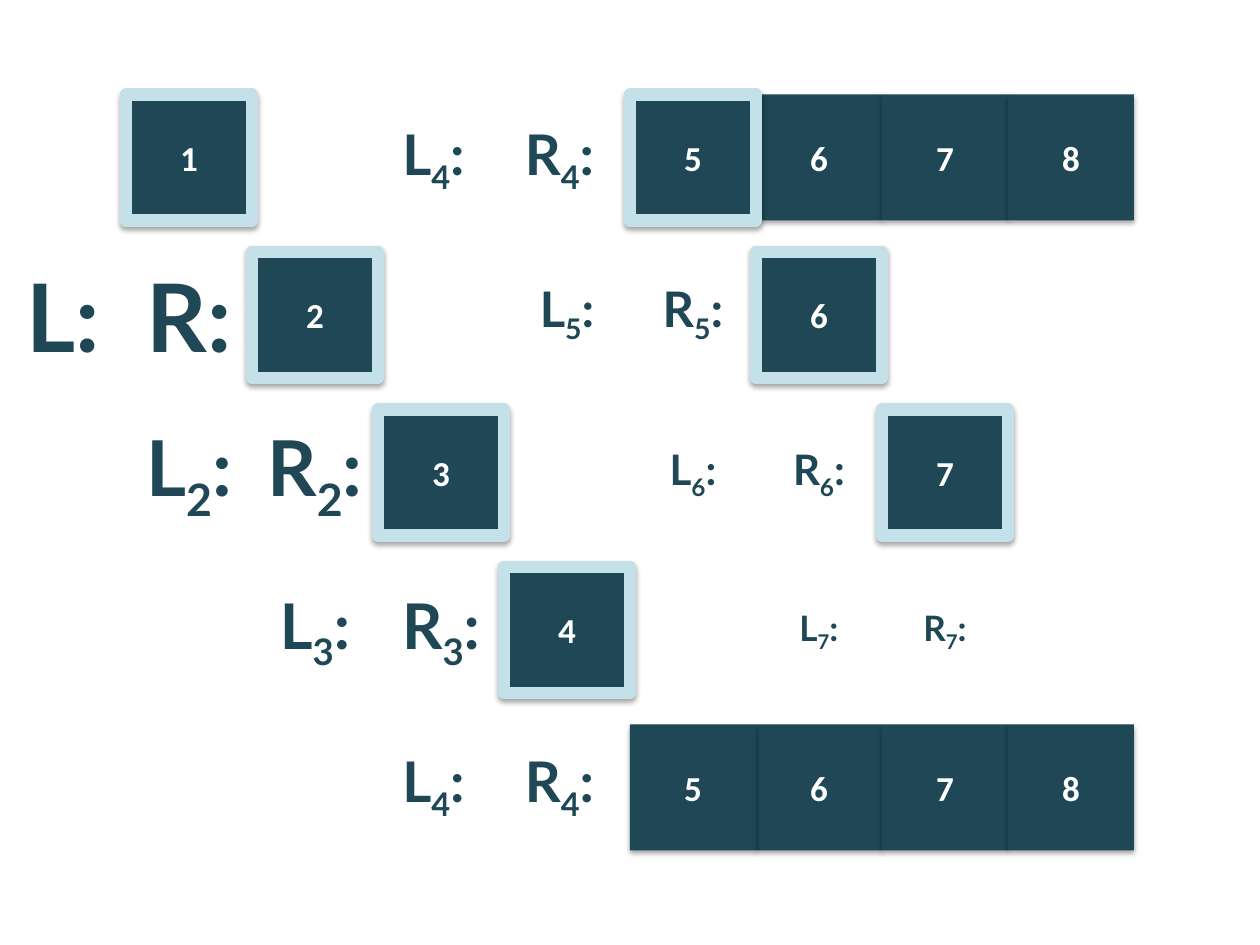
from dataclasses import dataclass

from lxml import etree
from pptx import Presentation
from pptx.dml.color import RGBColor
from pptx.enum.shapes import MSO_SHAPE
from pptx.enum.text import MSO_ANCHOR, PP_ALIGN
from pptx.oxml.ns import qn
from pptx.util import Cm, Pt

RECTANGLE = MSO_SHAPE.RECTANGLE
MIDDLE = MSO_ANCHOR.MIDDLE
CENTER = PP_ALIGN.CENTER


@dataclass(frozen=True)
class Theme:
    dark: RGBColor = RGBColor(0x1F, 0x47, 0x55)
    frame: RGBColor = RGBColor(0xC4, 0xE0, 0xE9)
    white: RGBColor = RGBColor(0xFF, 0xFF, 0xFF)
    shadow: str = "000000"
    number_font: str = "Calibri"
    label_font: str = "Lato"
    number_size: int = 20
    frame_width: int = 7


THEME = Theme()
CELL = 2.54
ROW_PITCH = 1.25 * CELL
TOP = 0.75 * CELL
ROWS_PER_COLUMN = 4
LAST_ROW = 4

LABELS = [
    ("", 0, 1, 54),
    ("2", 1, 2, 44),
    ("3", 2, 3, 36),
    ("4", 2.94, 3.98, 32),
    ("4", 2.94, 0, 32),
    ("5", 4, 0.98, 28),
    ("6", 5, 2, 24),
    ("7", 6, 3, 20),
]


def cell_box(column, row):
    return Cm(column * CELL), Cm(TOP + row * ROW_PITCH), Cm(CELL), Cm(CELL)


def apply_format(target, values):
    for name, value in values.items():
        setattr(target, name, value)


def write_centered(shape, pieces, font_name, size, color):
    frame = shape.text_frame
    apply_format(frame, {
        "word_wrap": True, "vertical_anchor": MIDDLE,
        "margin_left": 0, "margin_right": 0,
    })
    paragraph = frame.paragraphs[0]
    paragraph.alignment = CENTER
    for text, baseline in pieces:
        run = paragraph.add_run()
        run.text = text
        apply_format(run.font, {"name": font_name, "size": Pt(size), "bold": True})
        run.font.color.rgb = color
        if baseline:
            run._r.get_or_add_rPr().set("baseline", str(baseline))


def add_shadow(shape):
    shape.shadow.inherit = False
    effects = shape._element.spPr.find(qn("a:effectLst"))
    shadow = etree.SubElement(effects, qn("a:outerShdw"), {
        "blurRad": str(Pt(3.1)), "dist": str(Pt(1.8)),
        "dir": "5400000", "rotWithShape": "0",
    })
    color = etree.SubElement(shadow, qn("a:srgbClr"), val=THEME.shadow)
    etree.SubElement(color, qn("a:alpha"), val="35000")


def add_square(slide, number, row, framed=False):
    shape = slide.shapes.add_shape(RECTANGLE, *cell_box(number, row))
    shape.fill.solid()
    shape.fill.fore_color.rgb = THEME.dark
    if framed:
        shape.line.color.rgb = THEME.frame
        shape.line.width = Pt(THEME.frame_width)
    else:
        shape.line.fill.background()
    add_shadow(shape)
    write_centered(shape, [(str(number), 0)], THEME.number_font,
                   THEME.number_size, THEME.white)


def add_label_pair(slide, subscript, column, row, size):
    for offset, letter in enumerate("LR"):
        box = slide.shapes.add_textbox(*cell_box(column + offset, row))
        pieces = [(letter, 0), (subscript, -25000), (":", 0)]
        write_centered(box, [piece for piece in pieces if piece[0]],
                       THEME.label_font, size, THEME.dark)


def main():
    presentation = Presentation()
    presentation.slide_width = Cm(25.4)
    presentation.slide_height = Cm(19.05)
    slide = presentation.slides.add_slide(presentation.slide_layouts[6])

    for label in LABELS:
        add_label_pair(slide, *label)
    for number in (6, 5, 7, 8):
        add_square(slide, number, LAST_ROW)
    for number in (6, 7, 8):
        add_square(slide, number, 0)
    for number in range(1, 8):
        add_square(slide, number, (number - 1) % ROWS_PER_COLUMN, framed=True)

    presentation.save("out.pptx")


if __name__ == "__main__":
    main()
